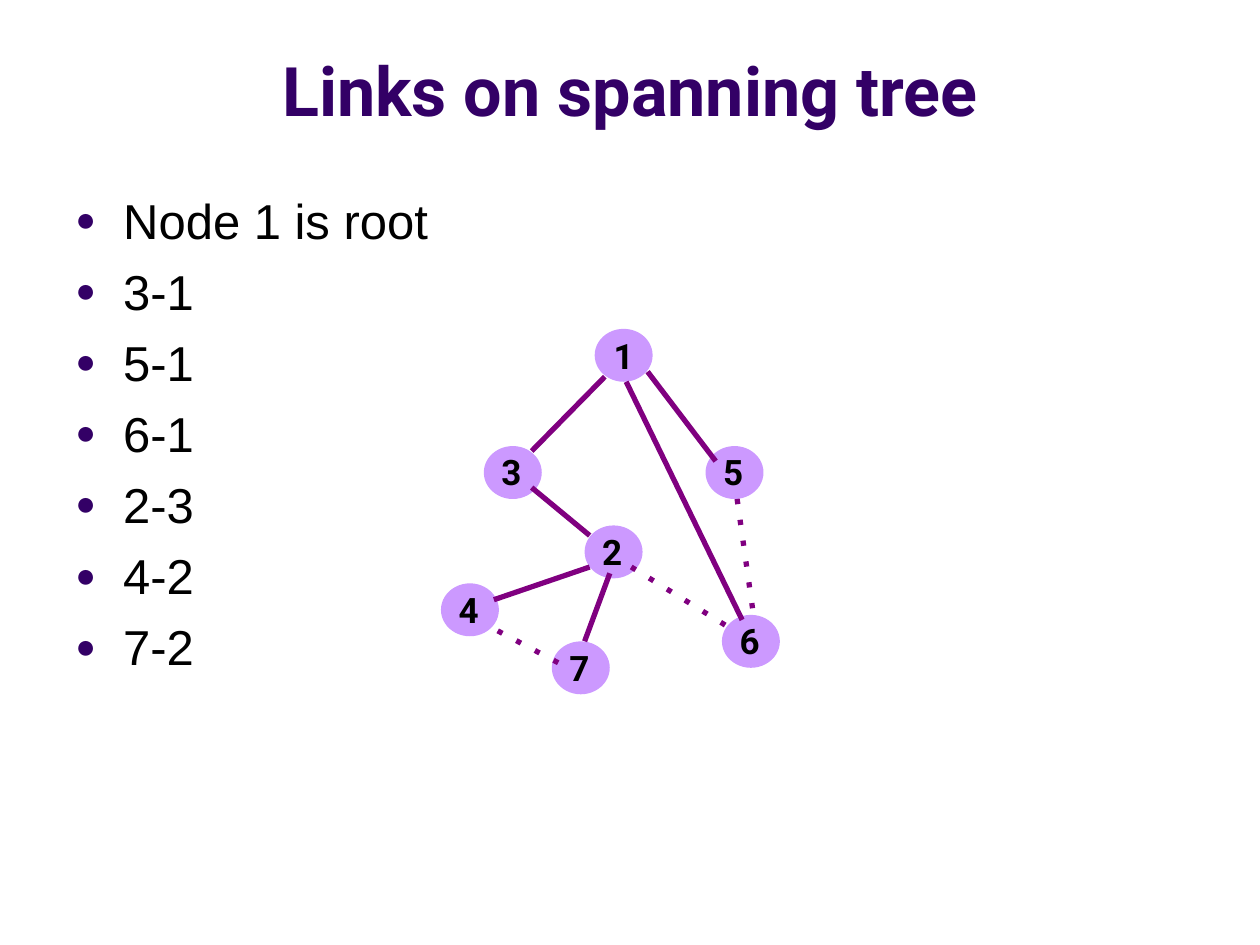
import pptx
import pptx.util
import pptx.dml.color
import pptx.enum.shapes
import pptx.enum.text
import pptx.oxml.ns
from lxml import etree

Inches = pptx.util.Inches
Pt = pptx.util.Pt
RGBColor = pptx.dml.color.RGBColor
Anchor = pptx.enum.text.MSO_ANCHOR
Align = pptx.enum.text.PP_ALIGN
qn = pptx.oxml.ns.qn

INDIGO = RGBColor(0x33, 0x00, 0x66)
PURPLE = RGBColor(0x80, 0x00, 0x80)
LILAC = RGBColor(0xCC, 0x99, 0xFF)
BLACK = RGBColor(0x00, 0x00, 0x00)

HEAD = {"name": "Roboto", "size": Pt(39), "bold": True, "color": INDIGO}
BODY = {"name": "Arial", "size": Pt(28), "bold": False, "color": BLACK}
LABEL = {"name": "Roboto", "size": Pt(20), "bold": True, "color": BLACK}

WIDE, HIGH = 0.46, 0.42  # size of a node


class Deck:
    def __init__(self):
        self.prs = pptx.Presentation()
        self.prs.slide_width = Inches(10)
        self.prs.slide_height = Inches(7.5)
        self.slide = self.prs.slides.add_slide(self.prs.slide_layouts[6])

    def add_run(self, para, text, style):
        run = para.add_run()
        run.text = text
        for key, value in style.items():
            if key == "color":
                run.font.color.rgb = value
            else:
                setattr(run.font, key, value)

    def text(self, box, words, style, align=Align.CENTER, **form):
        frame = self.slide.shapes.add_textbox(*map(Inches, box)).text_frame
        for key, value in {"word_wrap": True, **form}.items():
            setattr(frame, key, value)
        for i, line in enumerate(words):
            para = frame.paragraphs[0] if i == 0 else frame.add_paragraph()
            para.alignment = align
            self.add_run(para, line, style)
        return frame

    def bullets(self, box, words):
        frame = self.text(box, words, BODY, Align.LEFT, margin_top=Inches(0.09))
        for i, para in enumerate(frame.paragraphs):
            props = para._p.get_or_add_pPr()
            props.set("marL", str(Inches(0.38)))
            props.set("indent", str(-Inches(0.38)))
            tint = etree.SubElement(props, qn("a:buClr"))
            etree.SubElement(tint, qn("a:srgbClr"), val=str(INDIGO))
            etree.SubElement(props, qn("a:buSzPct"), val="70000")
            etree.SubElement(props, qn("a:buFont"), typeface="Arial")
            etree.SubElement(props, qn("a:buChar"), char="●")
            para.space_before = Pt(7 if i else 0)

    def node(self, left, top):
        oval = self.slide.shapes.add_shape(
            pptx.enum.shapes.MSO_SHAPE.OVAL,
            *map(Inches, (left, top, WIDE, HIGH)))
        oval.shadow.inherit = False
        oval.fill.solid()
        oval.fill.fore_color.rgb = LILAC
        oval.line.fill.background()
        return oval

    def link(self, start, end, dotted=False):
        line = self.slide.shapes.add_connector(
            pptx.enum.shapes.MSO_CONNECTOR.STRAIGHT,
            *map(Inches, (*start, *end)))
        line.line.color.rgb = PURPLE
        line.line.width = Pt(3)
        if dotted:
            etree.SubElement(line.line._ln, qn("a:prstDash"), val="dot")
        etree.SubElement(line._element.spPr, qn("a:effectLst"))


def main():
    deck = Deck()

    # Title and list
    deck.text((0, 0.13, 10, 0.95), ["Links on spanning tree"], HEAD,
              vertical_anchor=Anchor.BOTTOM)
    deck.bullets((0.5, 1.42, 9.33, 5.29),
                 ["Node 1 is root", "3-1", "5-1", "6-1", "2-3", "4-2", "7-2"])

    # Nodes, the root with its own number
    root = deck.node(4.72, 2.61)
    frame = root.text_frame
    frame.word_wrap = False
    frame.vertical_anchor = Anchor.MIDDLE
    frame.paragraphs[0].alignment = Align.CENTER
    deck.add_run(frame.paragraphs[0], "1", LABEL)

    nodes = {"2": (4.64, 4.17), "3": (3.84, 3.54), "4": (3.5, 4.63),
             "5": (5.6, 3.54), "6": (5.73, 4.88), "7": (4.38, 5.09)}
    for spot in nodes.values():
        deck.node(*spot)

    # Tree links
    for start, end in [((4.8, 2.99), (4.22, 3.58)),
                       ((5.14, 2.95), (5.68, 3.66)),
                       ((4.22, 3.87), (4.68, 4.25)),
                       ((4.97, 3.03), (5.89, 4.92)),
                       ((3.92, 4.76), (4.68, 4.5)),
                       ((4.64, 5.09), (4.84, 4.55))]:
        deck.link(start, end)

    # Links off the tree
    for start, end in [((5.01, 4.5), (5.77, 4.97)),
                       ((5.85, 3.96), (5.98, 4.88)),
                       ((4.43, 5.26), (3.88, 4.97))]:
        deck.link(start, end, dotted=True)

    # Numbers above the links
    for name, (left, top) in nodes.items():
        deck.text((left + 0.04, top - 0.01, 0.36, 0.43), [name], LABEL,
                  word_wrap=False,
                  auto_size=pptx.enum.text.MSO_AUTO_SIZE.SHAPE_TO_FIT_TEXT)

    deck.prs.save("out.pptx")


if __name__ == "__main__":
    main()
